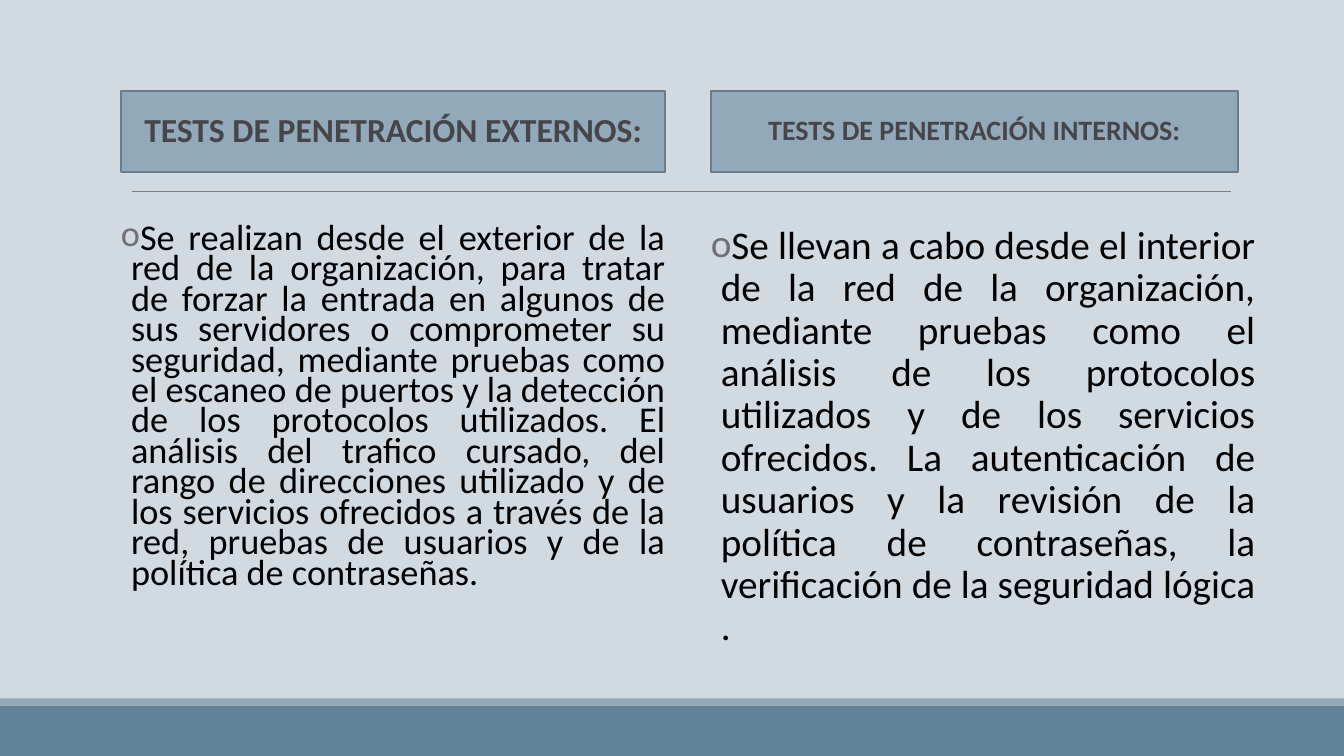
from dataclasses import dataclass

from lxml import etree
from pptx import Presentation
from pptx.dml.color import RGBColor
from pptx.enum import shapes as sh, text as tx
from pptx.oxml.ns import qn
from pptx.util import Inches, Pt

HUES = {
    "back": "D1D9E1", "band": "618197", "trim": "92A9B9", "edge": "6C7D89",
    "rule": "808080", "head": "46464A", "body": "000000", "dot": "6F6F74",
}
FONT = "Calibri"


@dataclass
class Column:
    left: float
    width: float
    head: str
    size: float
    body: str
    points: float
    lead: float


COLUMNS = [
    Column(1.2, 5.4, "TESTS DE PENETRACIÓN EXTERNOS:", 24,
           "Se realizan desde el exterior de la red de la organización, para "
           "tratar de forzar la entrada en algunos de sus servidores o "
           "comprometer su seguridad, mediante pruebas como el escaneo de "
           "puertos y la detección de los protocolos utilizados. El análisis "
           "del trafico cursado, del rango de direcciones utilizado y de los "
           "servicios ofrecidos a través de la red, pruebas de usuarios y de "
           "la política de contraseñas.", 25.9, 0.7),
    Column(7.05, 5.23, "TESTS DE PENETRACIÓN INTERNOS:", 20,
           "Se llevan a cabo desde el interior de la red de la organización, "
           "mediante pruebas como el análisis de los protocolos utilizados y "
           "de los servicios ofrecidos. La autenticación de usuarios y la "
           "revisión de la política de contraseñas, la verificación de la "
           "seguridad lógica .", 28, 0.9),
]


def hue(name: str) -> RGBColor:
    return RGBColor.from_string(HUES[name])


def assign(item, values: dict) -> None:
    for key, value in values.items():
        setattr(item, key, value)


def add_box(slide, left: float, top: float, width: float, height: float,
            fill: str, edge: str = ""):
    box = slide.shapes.add_shape(
        sh.MSO_SHAPE.RECTANGLE, *map(Inches, (left, top, width, height)))
    box.shadow.inherit = False
    box.fill.solid()
    box.fill.fore_color.rgb = hue(fill)
    if edge:
        box.line.color.rgb = hue(edge)
        box.line.width = Pt(1.25)
    else:
        box.line.fill.background()
    return box


def write(frame, words: str, size: float, color: str, bold: bool,
          align, lead: float):
    frame.word_wrap = True
    para = frame.paragraphs[0]
    assign(para, {"alignment": align, "line_spacing": lead,
                  "space_before": Pt(12), "space_after": Pt(2)})
    run = para.add_run()
    run.text = words
    assign(run.font, {"name": FONT, "size": Pt(size), "bold": bold})
    run.font.color.rgb = hue(color)
    return para


def add_bullet(para) -> None:
    props = para._p.get_or_add_pPr()
    props.set("marL", str(Inches(0.1)))
    props.set("indent", str(-Inches(0.1)))
    tint = etree.SubElement(props, qn("a:buClr"))
    etree.SubElement(tint, qn("a:srgbClr"), val=HUES["dot"])
    etree.SubElement(props, qn("a:buFont"), typeface=FONT)
    etree.SubElement(props, qn("a:buChar"), char="o")


def add_column(slide, col: Column) -> None:
    # Heading
    box = add_box(slide, col.left, 0.9, col.width, 0.81, "trim", "edge")
    box.text_frame.vertical_anchor = tx.MSO_ANCHOR.MIDDLE
    write(box.text_frame, col.head, col.size, "head", True,
          tx.PP_ALIGN.CENTER, 0.9)
    # Bulleted text
    area = slide.shapes.add_textbox(
        *map(Inches, (col.left, 2.19, 5.4, 4.59)))
    assign(area.text_frame, {"margin_left": 0, "margin_right": 0})
    add_bullet(write(area.text_frame, col.body, col.points, "body", False,
                     tx.PP_ALIGN.JUSTIFY, col.lead))


def main() -> None:
    deck = Presentation()
    assign(deck, {"slide_width": Inches(13.33), "slide_height": Inches(7.5)})
    slide = deck.slides.add_slide(deck.slide_layouts[6])
    slide.background.fill.solid()
    slide.background.fill.fore_color.rgb = hue("back")

    # Footer bands
    add_box(slide, 0, 7, 13.33, 0.5, "band")
    add_box(slide, 0, 6.93, 13.33, 0.07, "trim")

    # Rule under the headings
    rule = slide.shapes.add_connector(
        sh.MSO_CONNECTOR.STRAIGHT, *map(Inches, (1.31, 1.9, 12.21, 1.9)))
    rule.line.color.rgb = hue("rule")
    rule.line.width = Pt(0.5)
    etree.SubElement(rule._element.spPr, qn("a:effectLst"))

    # Two compared columns
    for col in COLUMNS:
        add_column(slide, col)

    deck.save("out.pptx")


if __name__ == "__main__":
    main()
